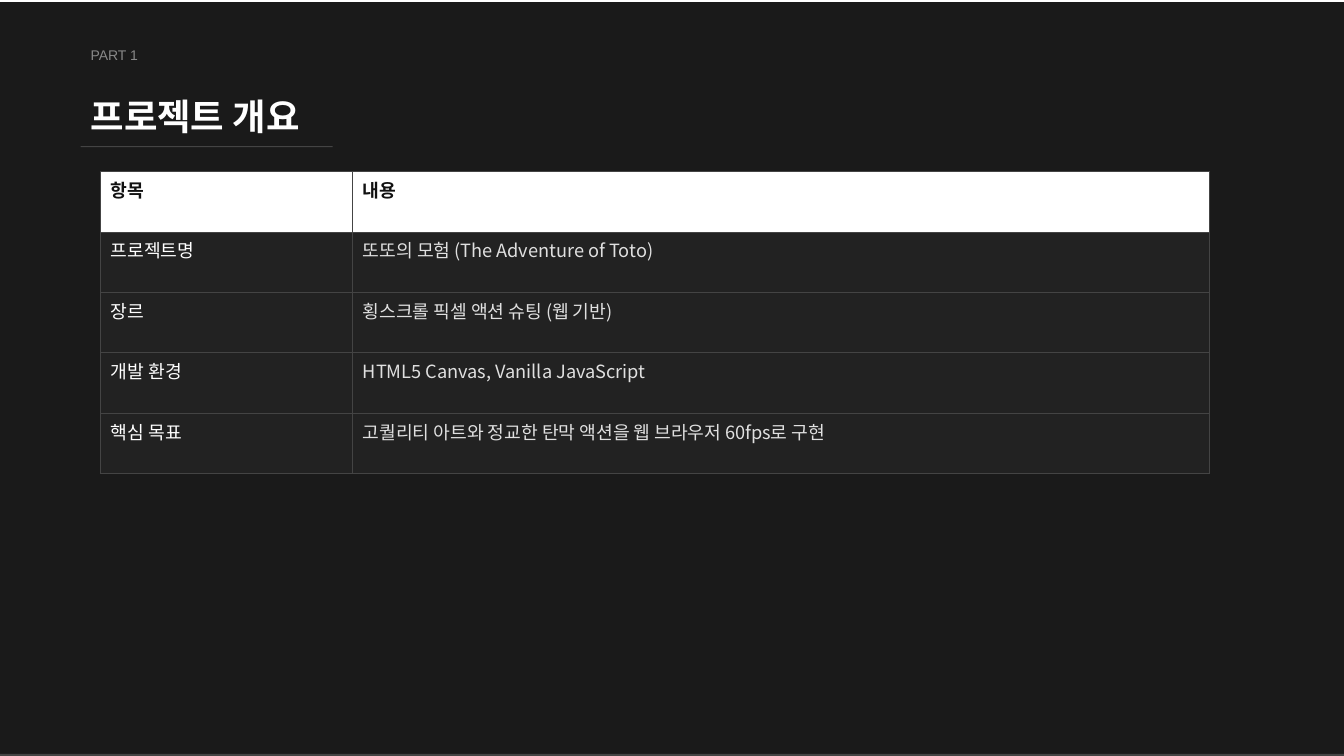
from lxml.etree import SubElement
from pptx import Presentation
from pptx.dml.color import RGBColor
from pptx.enum.shapes import MSO_SHAPE
from pptx.enum.text import MSO_ANCHOR
from pptx.oxml.ns import qn
from pptx.util import Pt

DARK = RGBColor(0x1A, 0x1A, 0x1A)
PANEL = RGBColor(0x22, 0x22, 0x22)
LINE = RGBColor(0x44, 0x44, 0x44)
GREY = RGBColor(0x88, 0x88, 0x88)
LIGHT = RGBColor(0xE0, 0xE0, 0xE0)
WHITE = RGBColor(0xFF, 0xFF, 0xFF)
INK = RGBColor(0x11, 0x11, 0x11)
SANS = "Arial"
NOTO = "Noto Sans CJK KR"

ROWS = [
    ("항목", "내용"),
    ("프로젝트명", "또또의 모험 (The Adventure of Toto)"),
    ("장르", "횡스크롤 픽셀 액션 슈팅 (웹 기반)"),
    ("개발 환경", "HTML5 Canvas, Vanilla JavaScript"),
    ("핵심 목표", "고퀄리티 아트와 정교한 탄막 액션을 웹 브라우저 60fps로 구현"),
]
COLS = (180, 612)
ROW_H = 43.2


def add_run(frame, text, size, color, font=NOTO, bold=False):
    run = frame.paragraphs[0].add_run()
    run.text = text
    run.font.size = Pt(size)
    run.font.bold = bold
    run.font.color.rgb = color
    run.font.name = font
    SubElement(run.font._element, qn("a:ea"), typeface=font)


def add_bar(slide, left, top, width, height, color):
    bar = slide.shapes.add_shape(
        MSO_SHAPE.RECTANGLE, Pt(left), Pt(top), Pt(width), Pt(height))
    bar.shadow.inherit = False
    bar.fill.solid()
    bar.fill.fore_color.rgb = color
    bar.line.fill.background()


def add_label(slide, top, width, height, *style):
    box = slide.shapes.add_textbox(Pt(57.6), Pt(top), Pt(width), Pt(height))
    frame = box.text_frame
    frame.word_wrap = True
    frame.vertical_anchor = MSO_ANCHOR.MIDDLE
    add_run(frame, *style)


def set_edges(cell):
    props = cell._tc.get_or_add_tcPr()
    for side in ("lnL", "lnR", "lnT", "lnB"):
        edge = SubElement(props, qn(f"a:{side}"), w=str(Pt(0.5)))
        fill = SubElement(edge, qn("a:solidFill"))
        SubElement(fill, qn("a:srgbClr"), val=str(LINE))


def add_grid(slide):
    grid = slide.shapes.add_table(
        len(ROWS), len(COLS), Pt(72), Pt(122.4),
        Pt(sum(COLS)), Pt(ROW_H * len(ROWS))).table
    for col, width in zip(grid.columns, COLS):
        col.width = Pt(width)
    for r, texts in enumerate(ROWS):
        grid.rows[r].height = Pt(ROW_H)
        head = r == 0
        for c, text in enumerate(texts):
            cell = grid.cell(r, c)
            set_edges(cell)
            cell.fill.solid()
            cell.fill.fore_color.rgb = WHITE if head else PANEL
            color = INK if head else (WHITE, LIGHT)[c]
            add_run(cell.text_frame, text, 13, color, bold=head)


def main():
    deck = Presentation()
    deck.slide_width, deck.slide_height = Pt(960), Pt(540)
    slide = deck.slides.add_slide(deck.slide_layouts[6])
    slide.background.fill.solid()
    slide.background.fill.fore_color.rgb = DARK
    add_bar(slide, 0, 0, 960, 1.44, WHITE)
    add_bar(slide, 0, 538.56, 960, 1.44, LINE)
    add_label(slide, 28.8, 360, 21.6, "PART 1", 10, GREY, SANS)
    add_label(slide, 57.6, 792, 50.4, "프로젝트 개요", 26, WHITE, NOTO, True)
    add_bar(slide, 57.6, 104.4, 180, 0.72, LINE)
    add_grid(slide)
    deck.save("out.pptx")


if __name__ == "__main__":
    main()
